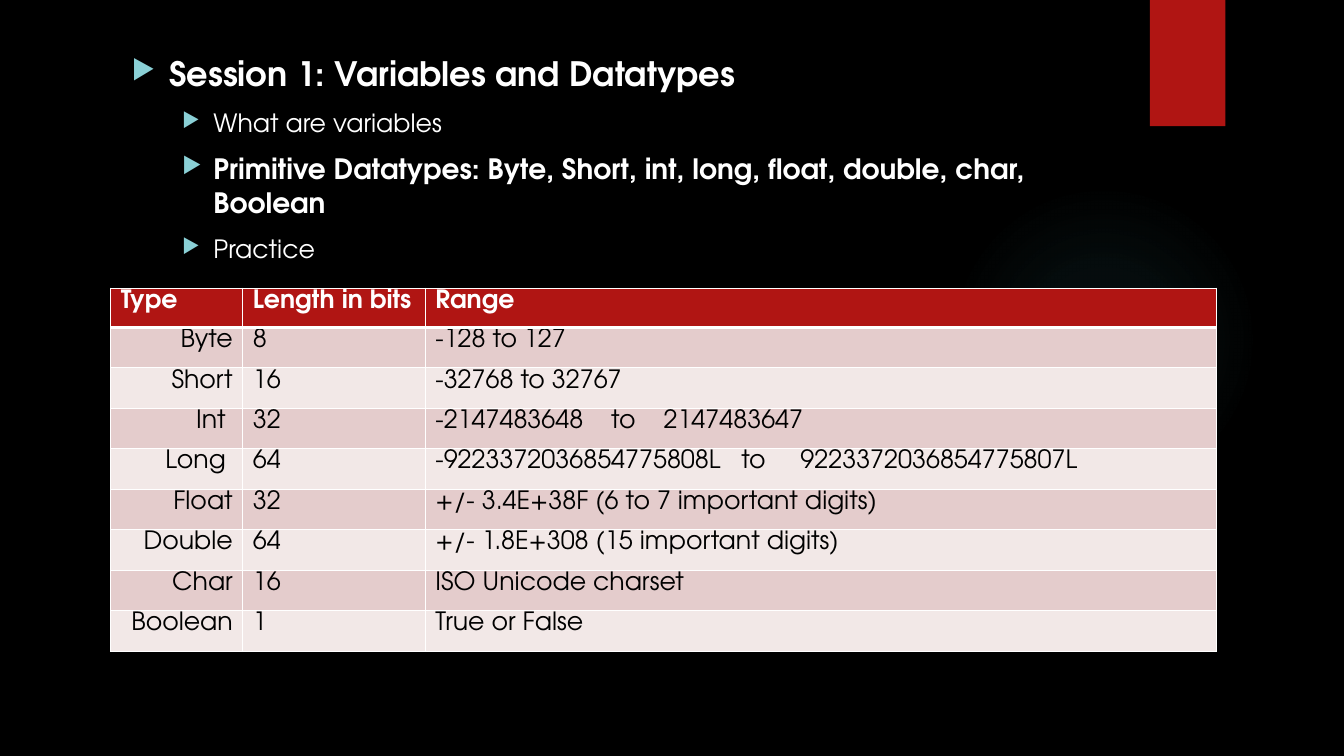
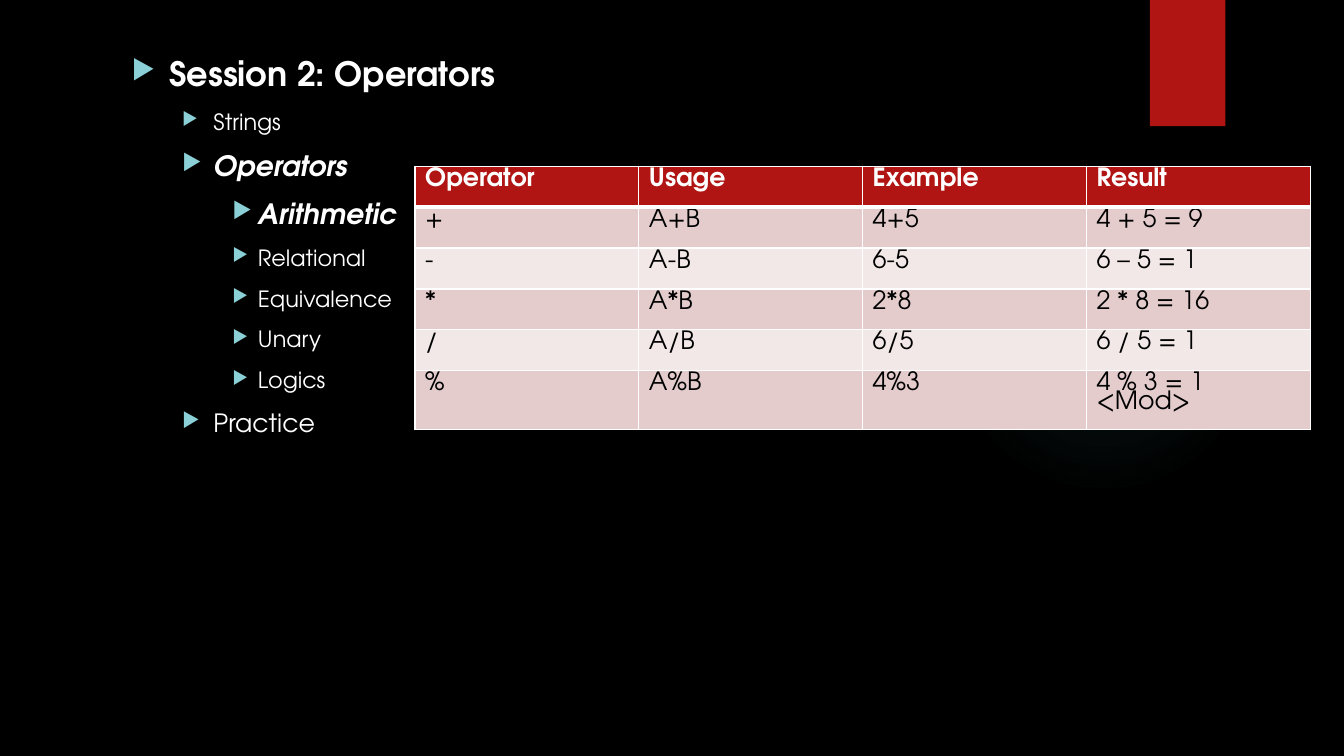
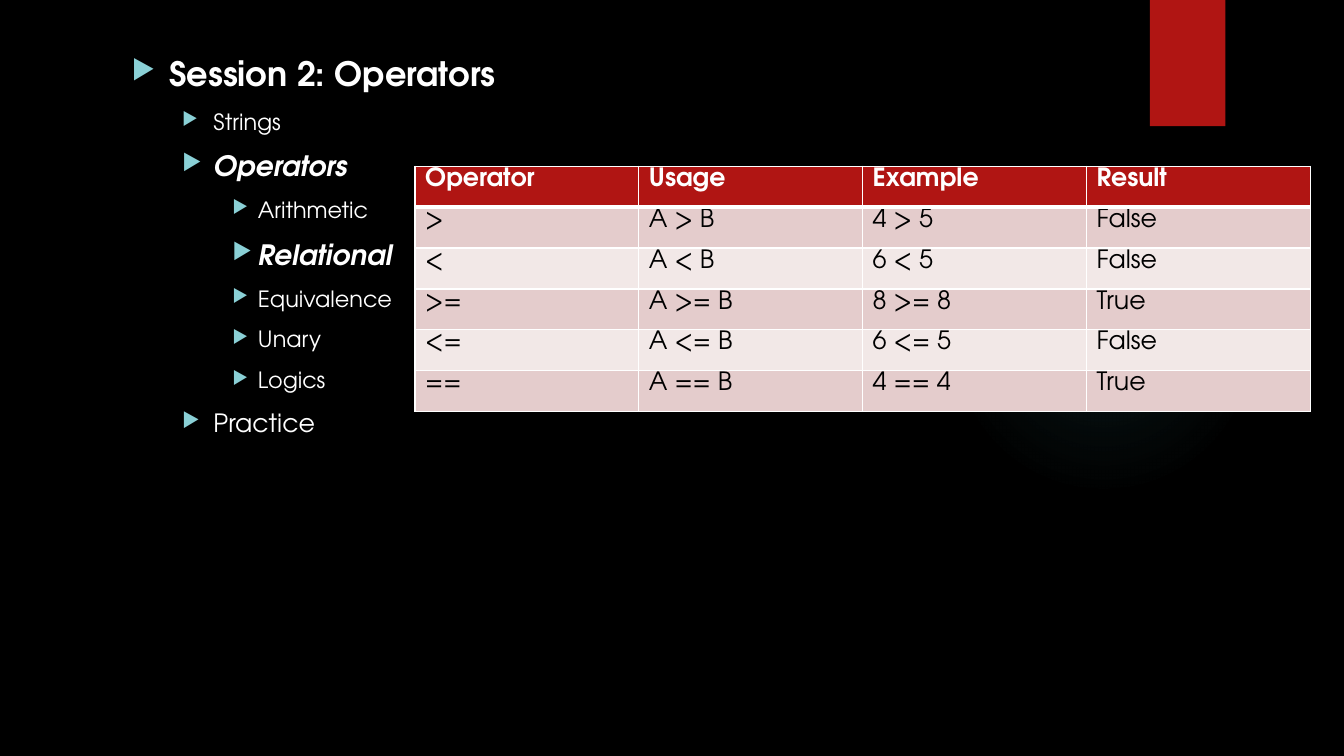
"""Build three lesson slides on Java datatypes and operators."""
from lxml.etree import SubElement
from pptx import Presentation
from pptx.dml.color import RGBColor
from pptx.enum.shapes import MSO_SHAPE
from pptx.enum.text import PP_ALIGN
from pptx.oxml import parse_xml
from pptx.oxml.ns import nsdecls, qn
from pptx.util import Cm, Pt

COLORS = {
    "background": "000000",
    "glow": "50B9C1",
    "accent": "B01513",
    "bullet": "8AD0D6",
    "light": "FFFFFF",
    "dark": "000000",
    "odd": "E4CCCC",
    "even": "F2E8E7",
}
FONT = "TeX Gyre Adventor"
INDENTS = [(0.95, 0.95), (2.06, 0.79), (3.18, 0.64)]
GLOW_STOPS = [(0, 7), (36, 6), (69, 0)]
OPERATOR_KINDS = ["Arithmetic", "Relational", "Equivalence", "Unary", "Logics"]
OPERATOR_HEADER = ["Operator", "Usage", "Example", "Result"]
OPERATOR_TABLE = {"left": 10.46, "top": 4.19, "columns": [5.64] * 4, "heights": [1.03] * 6}

lessons = [
    {
        "outline": [
            (0, "Session 1: Variables and Datatypes", 24, True, False),
            (1, "What are variables", 18, False, False),
            (1, "Primitive Datatypes: Byte, Short, int, long, float, double, char, Boolean", 20, True, False),
            (1, "Practice", 18, False, False),
        ],
        "table": {"left": 2.79, "top": 7.26, "columns": [3.33, 4.6, 19.94], "heights": [0.99] + [1.02] * 8},
        "right_aligned": [0],
        "tabs": {3: [4.43, 5.75], 4: [7.71, 9.2]},
        "rows": [
            ["Type", "Length in bits", "Range"],
            ["Byte", "8", "-128 to 127"],
            ["Short", "16", "-32768 to 32767"],
            ["Int ", "32", "-2147483648\tto\t2147483647"],
            ["Long ", "64", "-9223372036854775808L\tto\t9223372036854775807L"],
            ["Float", "32", "+/- 3.4E+38F (6 to 7 important digits)"],
            ["Double", "64", "+/- 1.8E+308 (15 important digits)"],
            ["Char", "16", "ISO Unicode charset"],
            ["Boolean", "1", "True or False"],
        ],
    },
]

operator_lessons = {
    "Arithmetic": [
        ["+", "A+B", "4+5", "4 + 5 = 9"],
        ["-", "A-B", "6-5", "6 – 5 = 1"],
        ["*", "A*B", "2*8", "2 * 8 = 16"],
        ["/", "A/B", "6/5", "6 / 5 = 1"],
        ["%", "A%B", "4%3", "4 % 3 = 1 <Mod>"],
    ],
    "Relational": [
        [">", "A > B", "4 > 5", "False"],
        ["<", "A < B", "6 < 5", "False"],
        [">=", "A >= B", "8 >= 8", "True"],
        ["<=", "A <= B", "6 <= 5", "False"],
        ["==", "A == B", "4 == 4", "True"],
    ],
}
for current, operators in operator_lessons.items():
    kinds = [(2, kind, 20 if kind == current else 16, kind == current, kind == current)
             for kind in OPERATOR_KINDS]
    lessons.append({
        "outline": [
            (0, "Session 2: Operators", 24, True, False),
            (1, "Strings", 16, False, False),
            (1, "Operators", 20, True, True),
            *kinds,
            (1, "Practice", 18, False, False),
        ],
        "table": OPERATOR_TABLE,
        "right_aligned": [],
        "tabs": {},
        "rows": [OPERATOR_HEADER, *operators],
    })


def add_text(paragraph, text, size, color, bold, italic=False):
    run = paragraph.add_run()
    run.text = text
    run.font.name = FONT
    run.font.size = Pt(size)
    run.font.bold = bold
    run.font.italic = italic
    run.font.color.rgb = RGBColor.from_string(COLORS[color])


def add_border(cell, side, width):
    line = SubElement(cell._tc.get_or_add_tcPr(), qn(f"a:ln{side}"), w=str(Pt(width)))
    fill = SubElement(line, qn("a:solidFill"))
    SubElement(fill, qn("a:srgbClr"), val=COLORS["light"])


prs = Presentation()
prs.slide_width, prs.slide_height = Cm(33.87), Cm(19.05)
backdrop = prs.slide_master.background.fill
backdrop.solid()
backdrop.fore_color.rgb = RGBColor.from_string(COLORS["background"])

for lesson in lessons:
    slide = prs.slides.add_slide(prs.slide_layouts[6])

    glow = slide.shapes.add_shape(MSO_SHAPE.OVAL, Cm(23.9), Cm(4.65), Cm(7.82), Cm(7.82))
    glow.shadow.inherit = False
    glow.line.fill.background()
    stops = "".join(
        f'<a:gs pos="{position * 1000}"><a:srgbClr val="{COLORS["glow"]}">'
        f'<a:alpha val="{alpha * 1000}"/></a:srgbClr></a:gs>'
        for position, alpha in GLOW_STOPS)
    glow._element.spPr.find(qn("a:prstGeom")).addnext(parse_xml(
        f'<a:gradFill {nsdecls("a")}><a:gsLst>{stops}</a:gsLst><a:path path="circle">'
        '<a:fillToRect l="50000" t="50000" r="50000" b="50000"/></a:path></a:gradFill>'))

    ribbon = slide.shapes.add_shape(MSO_SHAPE.RECTANGLE, Cm(28.98), Cm(0), Cm(1.9), Cm(3.18))
    ribbon.shadow.inherit = False
    ribbon.fill.solid()
    ribbon.fill.fore_color.rgb = RGBColor.from_string(COLORS["accent"])
    ribbon.line.fill.background()
    shadow = SubElement(ribbon._element.spPr.find(qn("a:effectLst")), qn("a:outerShdw"),
                        blurRad=str(Pt(3)), dist=str(Pt(2)), dir="5400000", rotWithShape="0")
    shade = SubElement(shadow, qn("a:srgbClr"), val=COLORS["dark"])
    SubElement(shade, qn("a:alpha"), val="45000")

    outline = slide.shapes.add_textbox(Cm(3.07), Cm(1.22), Cm(24.84), Cm(16.13)).text_frame
    outline.word_wrap = True
    for index, (level, text, size, bold, italic) in enumerate(lesson["outline"]):
        point = outline.add_paragraph() if index else outline.paragraphs[0]
        point.level = level
        point.space_before = Pt(10)
        margin, hanging = INDENTS[level]
        properties = point._p.get_or_add_pPr()
        properties.set("marL", str(Cm(margin)))
        properties.set("indent", str(-Cm(hanging)))
        bullet_color = SubElement(properties, qn("a:buClr"))
        SubElement(bullet_color, qn("a:srgbClr"), val=COLORS["bullet"])
        SubElement(properties, qn("a:buSzPct"), val="80000")
        SubElement(properties, qn("a:buChar"), char="▶")
        add_text(point, text, size, "light", bold, italic)

    place, rows = lesson["table"], lesson["rows"]
    columns, heights = place["columns"], place["heights"]
    table = slide.shapes.add_table(len(rows), len(columns), Cm(place["left"]), Cm(place["top"]),
                                   Cm(sum(columns)), Cm(sum(heights))).table
    for column, width in zip(table.columns, columns):
        column.width = Cm(width)
    for row_index, values in enumerate(rows):
        table.rows[row_index].height = Cm(heights[row_index])
        is_header = row_index == 0
        band = "accent" if is_header else "odd" if row_index % 2 else "even"
        for column_index, value in enumerate(values):
            cell = table.cell(row_index, column_index)
            add_border(cell, "L", 1)
            add_border(cell, "R", 1)
            add_border(cell, "T", 3 if row_index == 1 else 1)
            add_border(cell, "B", 3 if is_header else 1)
            cell.fill.solid()
            cell.fill.fore_color.rgb = RGBColor.from_string(COLORS[band])
            entry = cell.text_frame.paragraphs[0]
            entry.line_spacing = 0.8
            if not is_header and column_index in lesson["right_aligned"]:
                entry.alignment = PP_ALIGN.RIGHT
            if "\t" in value:
                tab_list = SubElement(entry._p.get_or_add_pPr(), qn("a:tabLst"))
                for position in lesson["tabs"][row_index]:
                    SubElement(tab_list, qn("a:tab"), pos=str(Cm(position)), algn="l")
            add_text(entry, value, 18, "light" if is_header else "dark", is_header)

prs.save("out.pptx")
